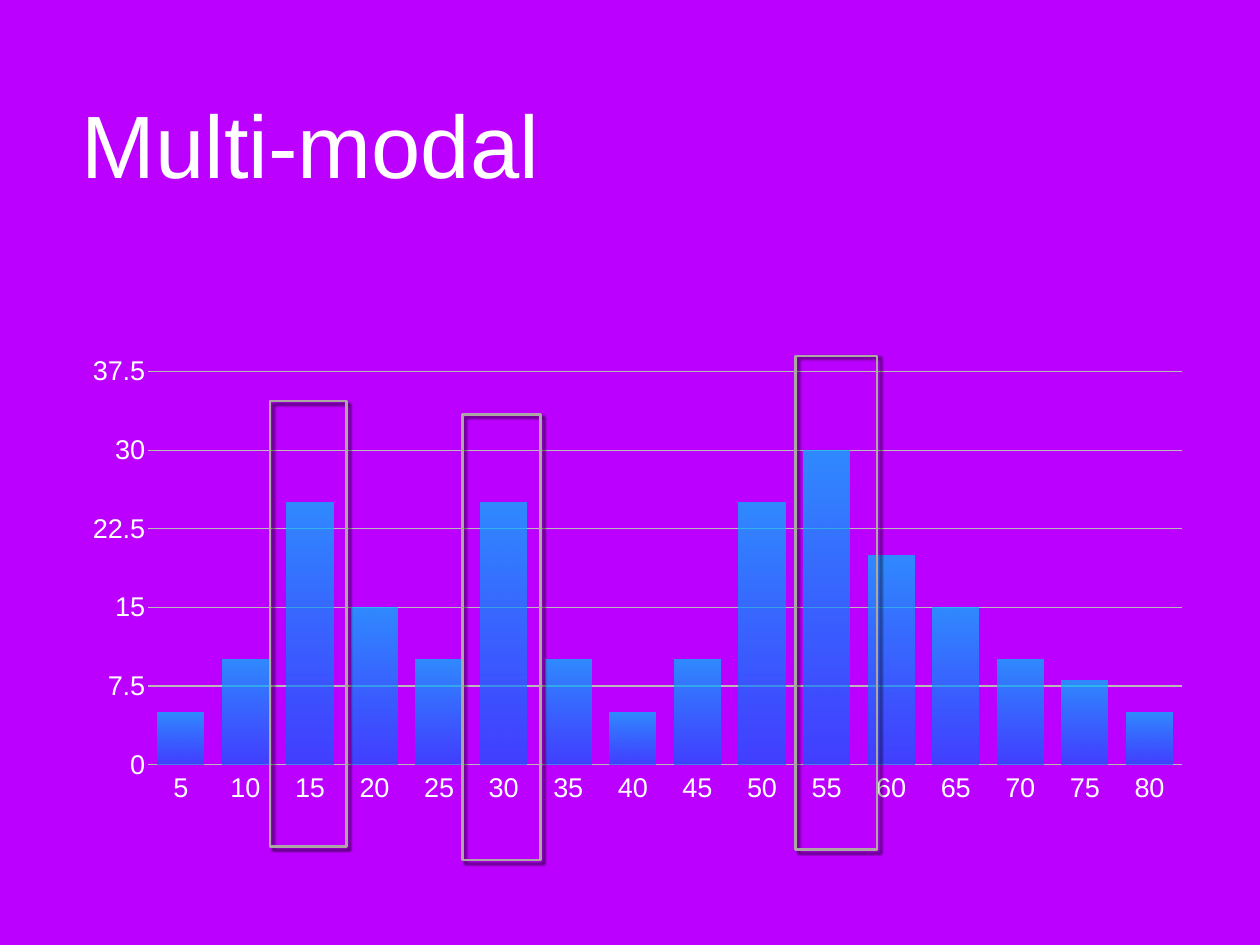
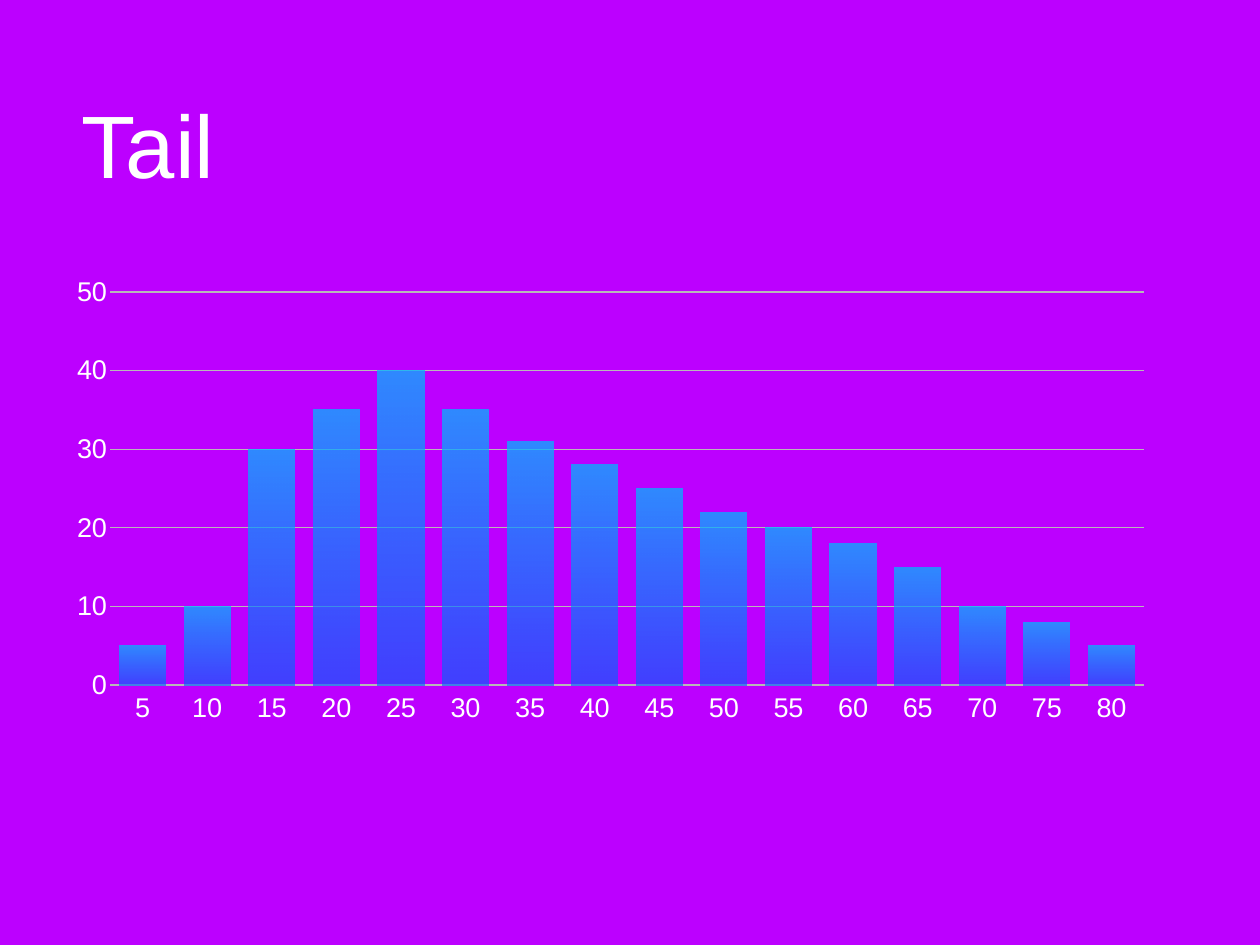
from pptx import Presentation
from pptx.chart.data import CategoryChartData as Data
from pptx.dml.color import RGBColor as RGB
from pptx.enum.chart import XL_CHART_TYPE as Kind, XL_TICK_LABEL_POSITION as Label, XL_TICK_MARK as Tick
from pptx.enum.shapes import MSO_SHAPE as Shape
from pptx.enum.text import MSO_ANCHOR as Anchor
from pptx.oxml import parse_xml
from pptx.oxml.ns import nsdecls, qn
from pptx.util import Inches, Pt

FONT = "Arial"
HEX = {"back": "BC00FF", "text": "FFFFFF", "grid": "B8B8B8", "frame": "ACA6A4",
       "top": "00B8FF", "base": "0062FF", "shade": "000000"}
FADE = (("top", 0, 75), ("base", 1, 65))
CATS = [str(n) for n in range(5, 85, 5)]
SLIDES = [
    {"title": "Multi-modal", "box": (0.82, 3.83, 12.58, 5.4), "plot": (0.068, 0.927), "step": 7.5,
     "vals": (5, 10, 25, 15, 10, 25, 10, 5, 10, 25, 30, 20, 15, 10, 8, 5),
     "peaks": [(3.05, 4.53, 0.86, 5.03), (5.22, 4.68, 0.88, 5.03), (8.98, 4.02, 0.92, 5.57)]},
    {"title": "Tail", "box": (0.64, 2.93, 12.33, 5.4), "plot": (0.049, 0.946), "step": 10,
     "vals": (5, 10, 30, 35, 40, 35, 31, 28, 25, 22, 20, 18, 15, 10, 8, 5),
     "peaks": []},
]


def ink(key):
    return RGB.from_string(HEX[key])


def place(box):
    return [Inches(n) for n in box]


def style(font, size):
    font.name, font.size = FONT, Pt(size)
    font.color.rgb = ink("text")


def stroke(line, key, width):
    line.color.rgb = ink(key)
    line.width = Pt(width)


def write(slide, text, box, size=72, anchor=Anchor.MIDDLE, pad=0.06):
    frame = slide.shapes.add_textbox(*place(box)).text_frame
    frame.word_wrap = True
    frame.vertical_anchor = anchor
    frame.margin_left = frame.margin_right = Inches(pad)
    frame.margin_top = frame.margin_bottom = Inches(pad)
    run = frame.paragraphs[0].add_run()
    run.text = text
    style(run.font, size)


def set_plot(chart, left, width):
    area = chart._chartSpace.chart.plotArea
    for old in area.findall(qn("c:layout")):
        area.remove(old)
    spots = "".join(f'<c:{tag} val="{val}"/>' for tag, val in (
        ("layoutTarget", "inner"), ("xMode", "edge"), ("yMode", "edge"),
        ("x", left), ("y", 0.068), ("w", width), ("h", 0.822)))
    area.insert(0, parse_xml(
        f'<c:layout {nsdecls("c")}><c:manualLayout>{spots}</c:manualLayout></c:layout>'))


def fade(bars):
    fill = bars.format.fill
    fill.gradient()
    fill.gradient_angle = 270
    for stop, (key, spot, _) in zip(fill.gradient_stops, FADE):
        stop.color.rgb = ink(key)
        stop.position = spot
    for node, (_, _, alpha) in zip(bars._element.iter(qn("a:gs")), FADE):
        node[0].append(parse_xml(f'<a:alpha {nsdecls("a")} val="{alpha * 1000}"/>'))


def draw_chart(slide, item):
    data = Data()
    data.categories = CATS
    data.add_series("Series 1", item["vals"])
    chart = slide.shapes.add_chart(Kind.COLUMN_CLUSTERED, *place(item["box"]), data).chart
    chart.has_title = chart.has_legend = False
    style(chart.font, 10)
    set_plot(chart, *item["plot"])
    plot = chart.plots[0]
    plot.gap_width, plot.overlap, plot.vary_by_categories = 40, -10, False
    plot.series[0].invert_if_negative = False
    fade(plot.series[0])
    cat, val = chart.category_axis, chart.value_axis
    for axis in (cat, val):
        axis.major_tick_mark = axis.minor_tick_mark = Tick.NONE
        style(axis.tick_labels.font, 22)
        axis.tick_labels.number_format = "General"
        axis.tick_labels.number_format_is_linked = False
    cat.tick_label_position = Label.LOW
    stroke(cat.format.line, "grid", 1)
    val.format.line.fill.background()
    val.minimum_scale, val.maximum_scale = 0, 5 * item["step"]
    val.major_unit = item["step"]
    stroke(val.major_gridlines.format.line, "grid", 1)


def mark(slide, box):
    peak = slide.shapes.add_shape(Shape.RECTANGLE, *place(box))
    peak.fill.background()
    stroke(peak.line, "frame", 2)
    peak.shadow.inherit = False
    peak._element.spPr.find(qn("a:effectLst")).append(parse_xml(
        f'<a:outerShdw {nsdecls("a")} blurRad="{Pt(2)}" dist="{Pt(3)}" dir="2700000" rotWithShape="0">'
        f'<a:srgbClr val="{HEX["shade"]}"><a:alpha val="65000"/></a:srgbClr></a:outerShdw>'))


def main():
    deck = Presentation()
    deck.slide_width, deck.slide_height = Inches(14.22), Inches(10.67)
    back = deck.slide_master.background.fill
    back.solid()
    back.fore_color.rgb = ink("back")
    for item in SLIDES:
        slide = deck.slides.add_slide(deck.slide_layouts[6])
        write(slide, item["title"], (0.86, 0.28, 12.5, 2.67))
        draw_chart(slide, item)
        for box in item["peaks"]:
            mark(slide, box)
    deck.save("out.pptx")


if __name__ == "__main__":
    main()
